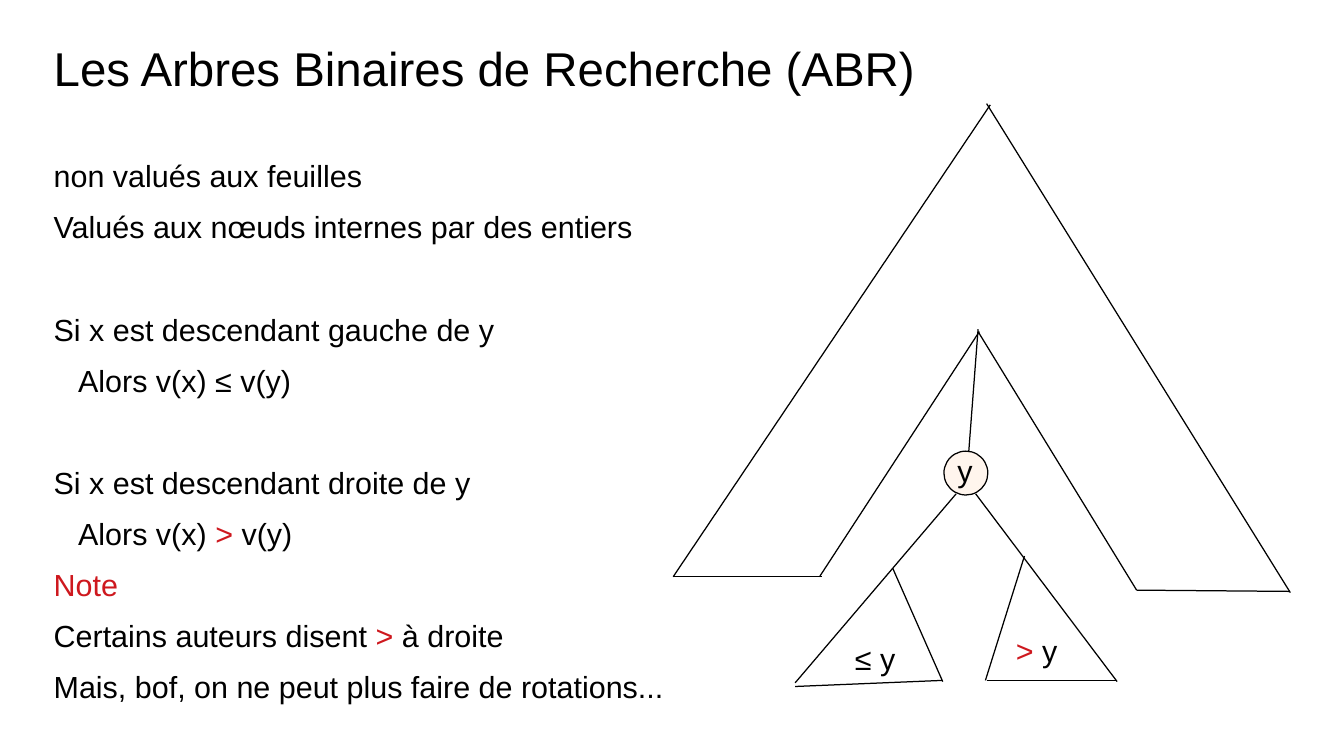
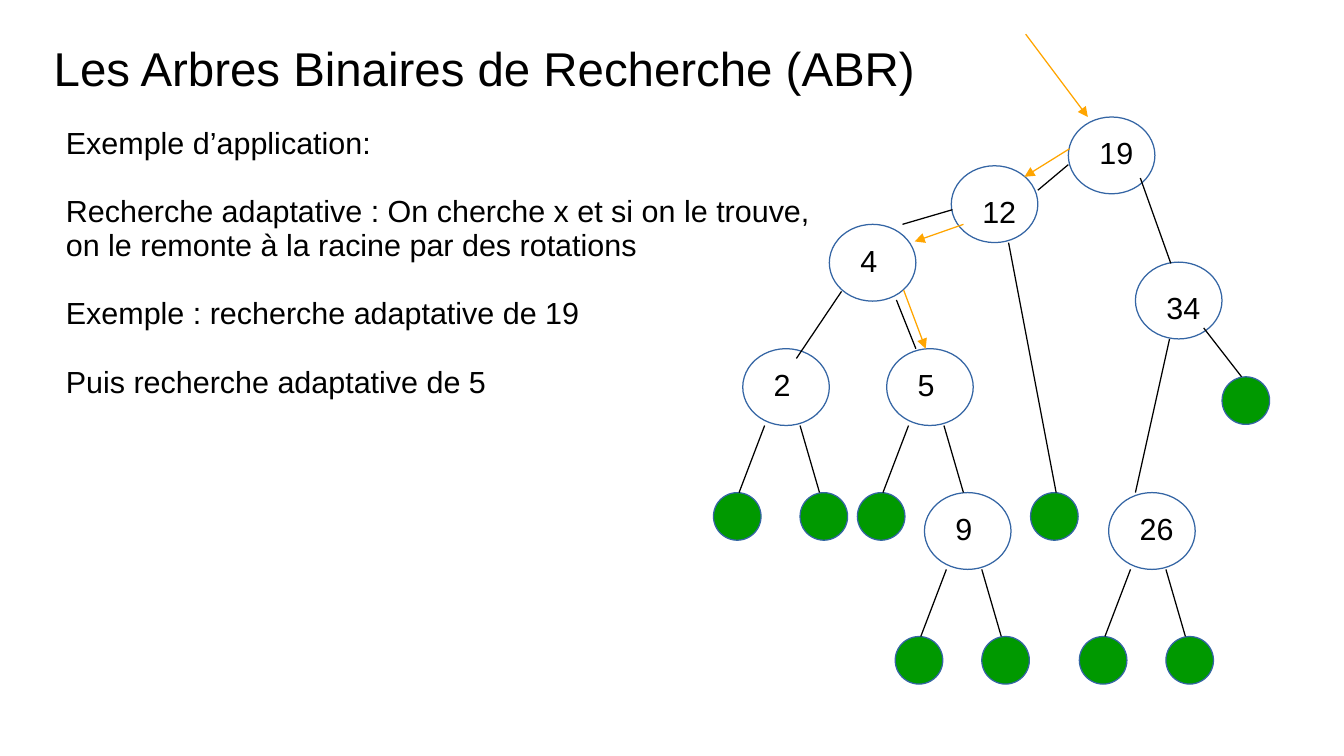
"""Build two slides about binary search trees (ABR)."""
from lxml import etree
from pptx import Presentation
from pptx.dml.color import RGBColor
from pptx.enum.shapes import MSO_CONNECTOR, MSO_SHAPE
from pptx.enum.text import MSO_ANCHOR, MSO_AUTO_SIZE, PP_ALIGN
from pptx.oxml.ns import qn
from pptx.util import Inches, Pt

STRAIGHT = MSO_CONNECTOR.STRAIGHT
OVAL = MSO_SHAPE.OVAL
TOP = MSO_ANCHOR.TOP
NO_FIT = MSO_AUTO_SIZE.NONE
LEFT = PP_ALIGN.LEFT

FONT = "Arial"
TITLE = "Les Arbres Binaires de Recherche (ABR)"
COLORS = {"black": "000000", "red": "CE181E", "cream": "FFF5ED", "white": "FFFFFF",
          "blue": "3465A4", "green": "009900", "orange": "FFA500"}
RGB = {name: RGBColor.from_string(value) for name, value in COLORS.items()}


def write(tf, text, size=18, spacing=1.0, before=0, indent=0, wrap=True, inset=(0, 0)):
    """Add one paragraph; parts between bars are red."""
    tf.word_wrap = wrap
    tf.auto_size = NO_FIT
    tf.vertical_anchor = TOP
    tf.margin_left, tf.margin_top = Inches(inset[0]), Inches(inset[1])
    tf.margin_right = tf.margin_bottom = 0
    p = tf.paragraphs[0]
    if p.runs:
        p = tf.add_paragraph()
    pPr = p._p.get_or_add_pPr()
    pPr.set("marL", str(Inches(indent)))
    pPr.set("indent", "0")
    etree.SubElement(pPr, qn("a:buNone"))
    p.alignment = LEFT
    p.line_spacing = spacing
    p.space_before = Pt(before)
    for i, part in enumerate(text.split("|")):
        if part:
            r = p.add_run()
            r.text = part
            r.font.name = FONT
            r.font.size = Pt(size)
            r.font.color.rgb = RGB["red" if i % 2 else "black"]


def draw_line(s, x1, y1, x2, y2, color="black", arrow=False):
    """Draw a thin line, with an arrowhead at its end if asked."""
    c = s.shapes.add_connector(STRAIGHT, Inches(x1), Inches(y1), Inches(x2), Inches(y2))
    c.line.color.rgb = RGB[color]
    c.line.width = Pt(0.75)
    if arrow:
        etree.SubElement(c.line._get_or_add_ln(), qn("a:tailEnd"), type="triangle")
    etree.SubElement(c._element.spPr, qn("a:effectLst"))


prs = Presentation()
prs.slide_width, prs.slide_height = Inches(11.02), Inches(6.2)
layout = prs.slide_layouts[1]
title = layout.placeholders[0]
title.left, title.top, title.width, title.height = map(Inches, (0.44, 0.32, 7.7, 0.5))

bodies = [
    ((0.44, 1.17, 5.5, 4.9), 30.2, [
        ("non valués aux feuilles", 0, 0),
        ("Valués aux nœuds internes par des entiers", 0, 0),
        ("Si x est descendant gauche de y", 1, 0),
        ("Alors v(x) ≤ v(y)", 0, 0.2),
        ("Si x est descendant droite de y", 1, 0),
        ("Alors v(x) |>| v(y)", 0, 0.2),
        ("|Note|", 0, 0),
        ("Certains auteurs disent |>| à droite", 0, 0),
        ("Mais, bof, on ne peut plus faire de rotations...", 0, 0)]),
    ((0.54, 1.04, 6.3, 2.8), 20.1, [
        ("Exemple d’application:", 0, 0),
        ("Recherche adaptative : On cherche x et si on le trouve,", 1, 0),
        ("on le remonte à la racine par des rotations", 0, 0),
        ("Exemple : recherche adaptative de 19", 1, 0),
        ("Puis recherche adaptative de 5", 1, 0)]),
]
for box, pitch, paragraphs in bodies:
    s = prs.slides.add_slide(layout)
    write(s.shapes.title.text_frame, TITLE, size=28)
    body = s.placeholders[1]
    body.left, body.top, body.width, body.height = map(Inches, box)
    for text, gap, indent in paragraphs:
        write(body.text_frame, text, spacing=Pt(pitch), before=gap * pitch, indent=indent)

s = prs.slides[0]
tree_lines = [
    (8.12, 0.86, 5.52, 4.73), (10.58, 4.86, 8.09, 0.85), (5.53, 4.73, 6.74, 4.73),
    (8.03, 2.72, 6.72, 4.73), (9.32, 4.84, 10.57, 4.85), (8.02, 2.72, 9.32, 4.84),
    (7.94, 3.75, 8.02, 2.7), (6.52, 5.6, 7.84, 4.05), (9.16, 5.59, 8, 4.05),
    (7.32, 4.66, 7.73, 5.59), (8.4, 4.56, 8.08, 5.58), (6.52, 5.63, 7.73, 5.58),
    (8.09, 5.58, 9.15, 5.58)]
for ends in tree_lines:
    draw_line(s, *ends)
root = s.shapes.add_shape(OVAL, Inches(7.74), Inches(3.7), Inches(0.36), Inches(0.36))
root.shadow.inherit = False
root.fill.solid()
root.fill.fore_color.rgb = RGB["cream"]
root.line.color.rgb = RGB["black"]
root.line.width = Pt(0.75)
for text, x, y in [("y", 7.85, 3.71), ("≤ y", 7.01, 5.25), ("|>| y", 8.33, 5.18)]:
    label = s.shapes.add_textbox(Inches(x), Inches(y), Inches(0.6), Inches(0.3))
    write(label.text_frame, text, wrap=False)

s = prs.slides[1]
NODE_W, NODE_H, LEAF, LEVEL = 0.71, 0.63, 0.39, 1.18
nodes = {"19": (8.76, 0.96), "12": (7.8, 1.36), "4": (6.8, 1.84), "34": (9.31, 2.15),
         "2": (6.09, 2.86), "5": (7.27, 2.86), "9": (7.58, 4.04), "26": (9.09, 4.04)}
low_labels = ("12", "34")
leaves = [(8.45, 4.04), (10.02, 3.09)]
edges = [(6.9, 2.39, 6.53, 2.94), (7.35, 2.46, 7.51, 2.86), (9.6, 2.16, 9.35, 1.46),
         (9.87, 2.69, 10.18, 3.09), (7.81, 1.72, 7.4, 1.84), (8.51, 1.56, 8.76, 1.35),
         (8.27, 1.99, 8.66, 4.04), (9.59, 2.78, 9.31, 4.04)]
for key in ("2", "5", "9", "26"):
    x, y = nodes[key]
    leaves.append((x - 0.24, y + LEVEL))
    if key != "5":
        leaves.append((x + 0.47, y + LEVEL))
    edges.append((x + 0.18, y + NODE_H, x - 0.03, y + LEVEL))
    edges.append((x + 0.47, y + NODE_H, x + 0.63, y + LEVEL))

ovals = [(key, x, y, NODE_W, NODE_H, "white") for key, (x, y) in nodes.items()]
ovals += [("", x, y, LEAF, LEAF, "green") for x, y in leaves]
for key, x, y, w, h, color in ovals:
    sp = s.shapes.add_shape(OVAL, Inches(x), Inches(y), Inches(w), Inches(h))
    sp.shadow.inherit = False
    sp.fill.solid()
    sp.fill.fore_color.rgb = RGB[color]
    sp.line.color.rgb = RGB["blue"]
    sp.line.width = Pt(0.75)
    if key:
        write(sp.text_frame, key, inset=(0.15, 0.13 if key in low_labels else 0.05))
for ends in edges:
    draw_line(s, *ends)
search_steps = [(8.41, 0.28, 8.92, 0.96), (8.77, 1.22, 8.4, 1.45),
                (7.9, 1.84, 7.5, 1.98), (7.41, 2.38, 7.59, 2.86)]
for ends in search_steps:
    draw_line(s, *ends, color="orange", arrow=True)

prs.save("out.pptx")
